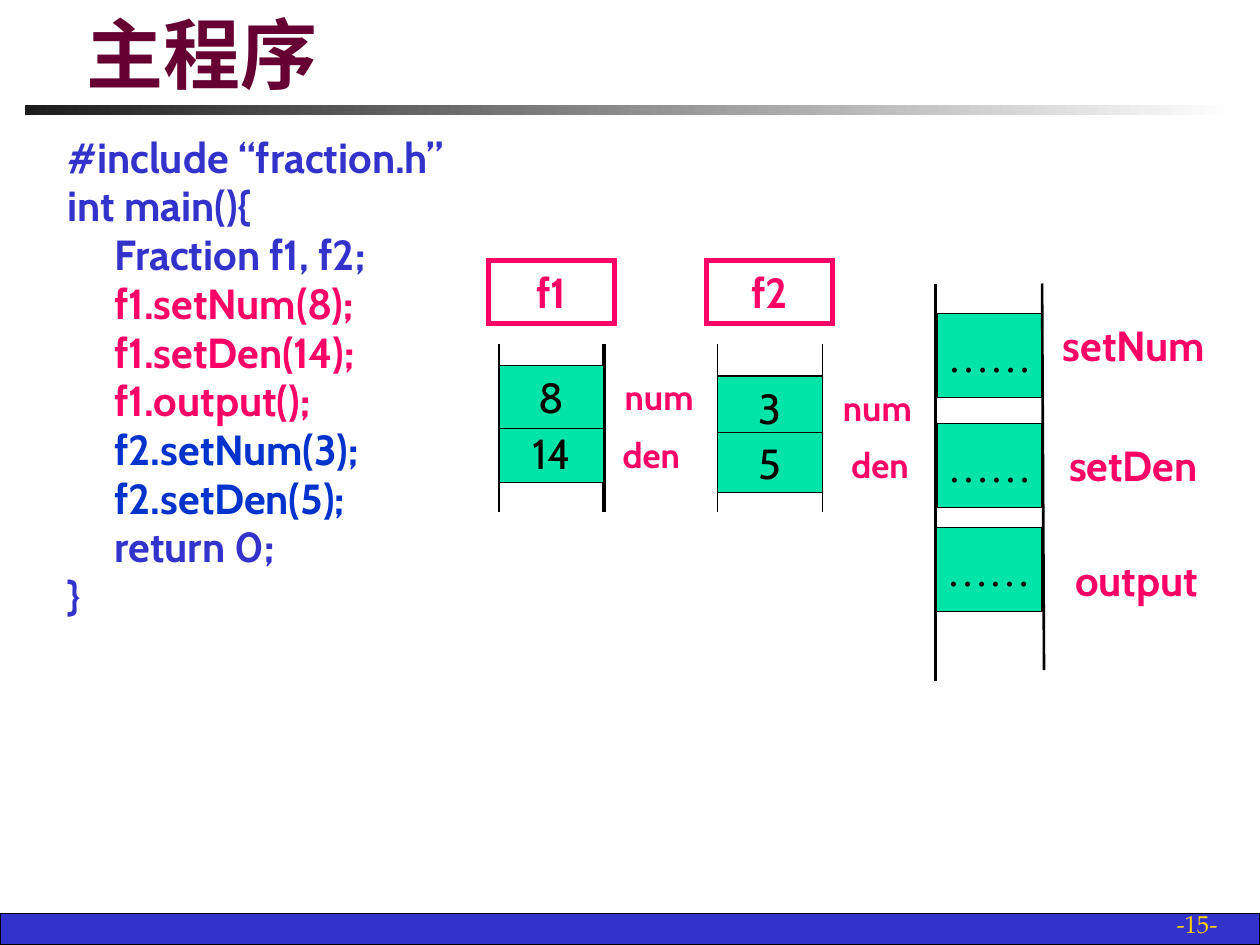
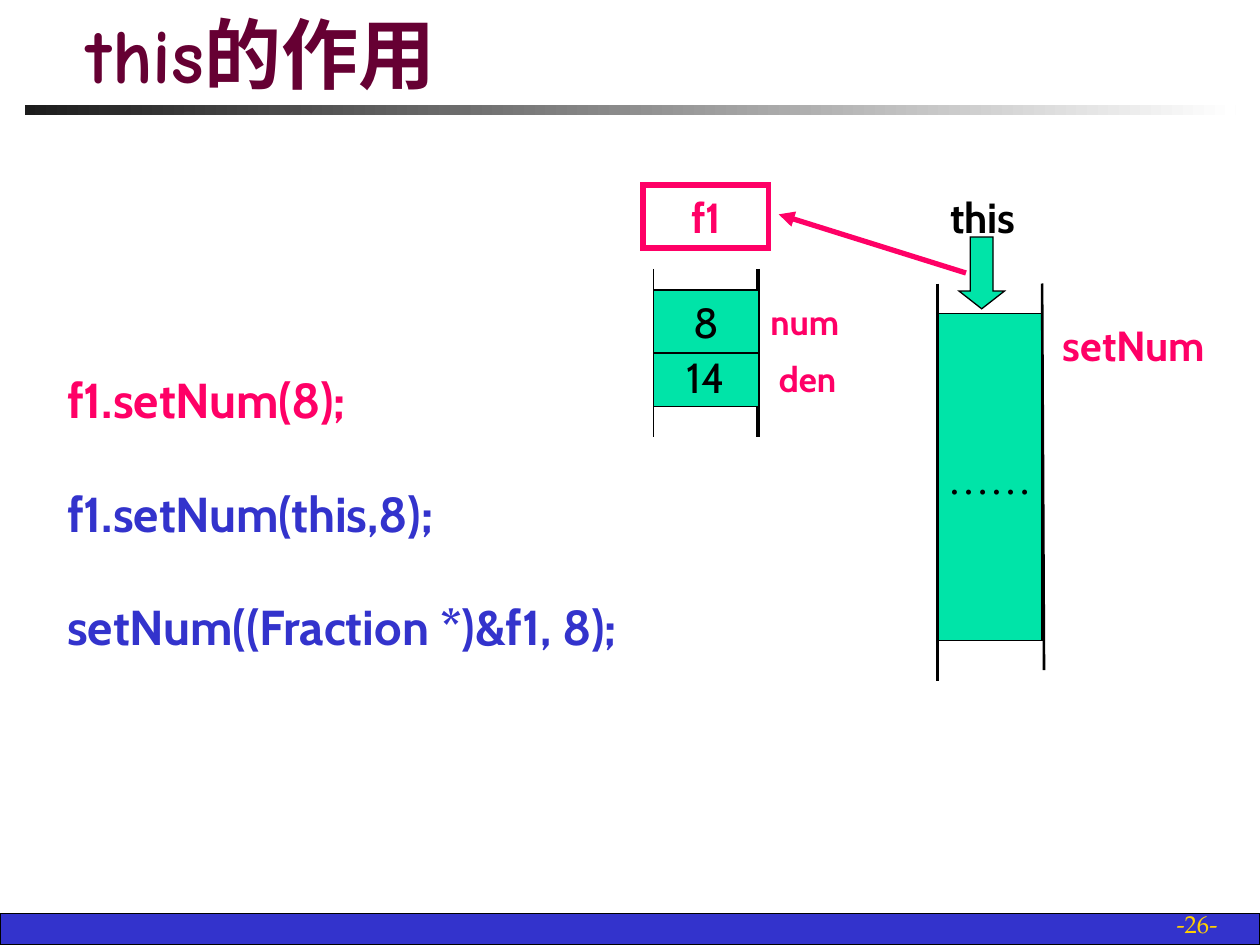
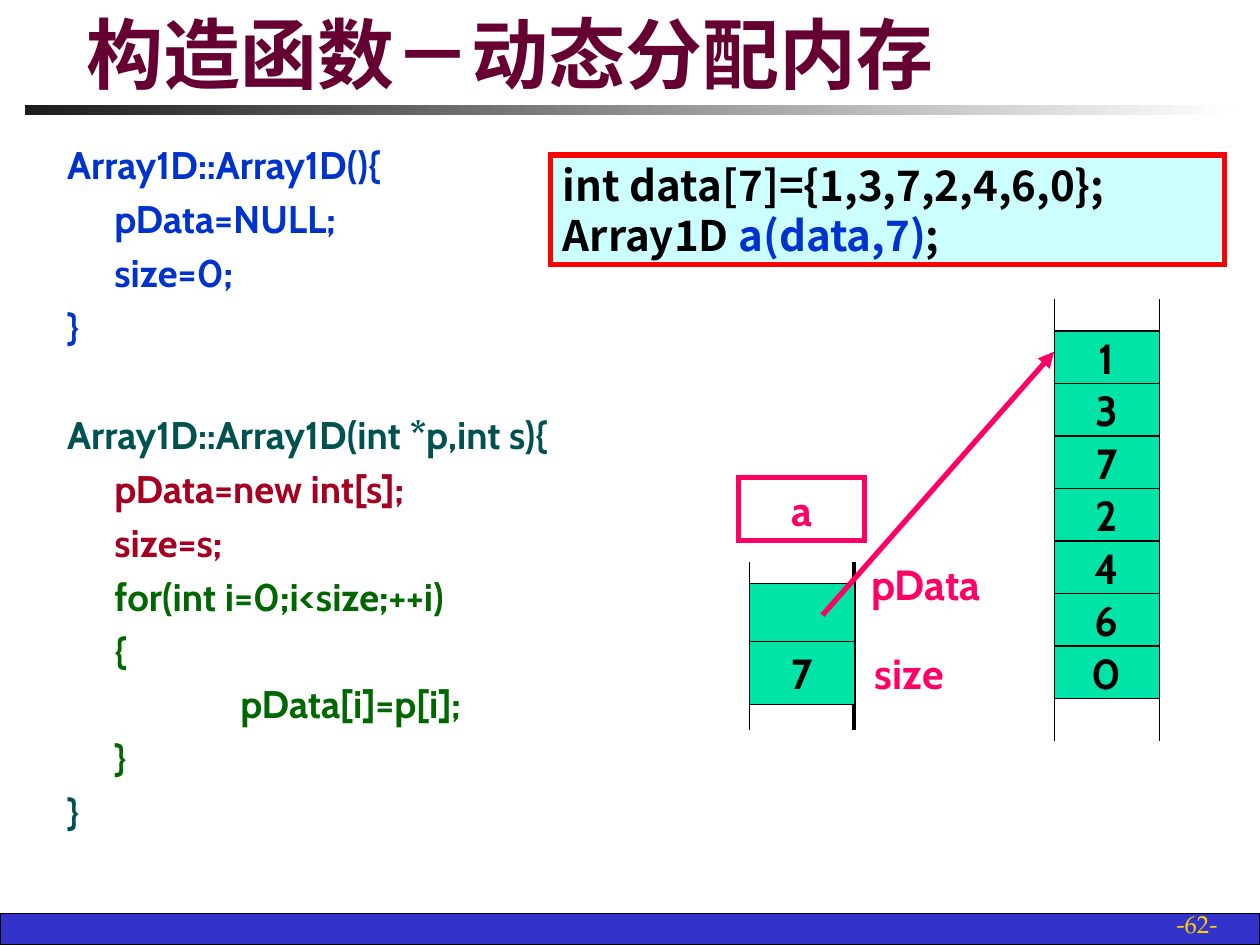
from lxml import etree
from pptx import Presentation
from pptx.dml.color import RGBColor
from pptx.enum import shapes, text
from pptx.oxml.ns import qn
from pptx.util import Pt

BLUE, NAVY, PINK, GREEN = "3333CC", "0033CC", "FF0066", "00E4A8"
BLACK, TEAL, LEAF, WINE = "000000", "005250", "006600", "A50021"
SANS, SERIF, NOTO = "Cabin", "Times New Roman", "Noto Sans CJK SC"
MID, LEFT, RIGHT = text.PP_ALIGN.CENTER, text.PP_ALIGN.LEFT, text.PP_ALIGN.RIGHT
RECT, DOWN = shapes.MSO_SHAPE.RECTANGLE, shapes.MSO_SHAPE.DOWN_ARROW
DOTS = "……"

MAIN = [
    ("#include “fraction.h”", BLUE),
    ("int main(){", BLUE),
    ("\tFraction f1, f2;", BLUE),
    ("\tf1.setNum(8);", PINK),
    ("\tf1.setDen(14);", PINK),
    ("\tf1.output();", PINK),
    ("\tf2.setNum(3);", NAVY),
    ("\tf2.setDen(5);", NAVY),
    ("\treturn 0;", BLUE),
    ("}", BLUE),
]
CALLS = [
    ("f1.setNum(8);", PINK),
    ("f1.setNum(this,8);", BLUE),
    ("setNum((Fraction *)&f1, 8);", BLUE),
]
EMPTY = [
    ("Array1D::Array1D(){", NAVY),
    ("\tpData=NULL;", NAVY),
    ("\tsize=0;", NAVY),
    ("}", NAVY),
]
FULL = [
    ("Array1D::Array1D(int *p,int s){", TEAL),
    ("\tpData=new int[s];", WINE),
    ("\tsize=s;", WINE),
    ("\tfor(int i=0;i<size;++i)", LEAF),
    ("\t{", LEAF),
    ("\t\tpData[i]=p[i];", LEAF),
    ("\t}", LEAF),
    ("}", TEAL),
]
USE = [
    [("int data[7]={1,3,7,2,4,6,0};", BLACK)],
    [("Array1D ", BLACK), ("a(data,7)", NAVY), (";", BLACK)],
]
DATA = [1, 3, 7, 2, 4, 6, 0]

F1 = [("14", 93, 34, "den", 69, 93), ("8", 60, 36, "num", 73.5, 60)]
F2 = [("3", 66, 36, "num", 73.5, 66), ("5", 98.5, 34, "den", 75, 98.5)]
F1_THIS = [("14", 92.5, 34, "den", 70, 92.5), ("8", 60, 36, "num", 68.5, 60)]
ARRAY = [("", 60.5, 36, "pData", 83, 42.5), ("7", 93.5, 36, "size", 73.5, 93.5)]

METHODS = [
    ("setNum", 535.5, 179.2, 618.5, 179.2),
    ("setDen", 535.5, 242, 623.5, 247.5),
    ("output", 534.5, 301.5, 615, 313),
]
NAME_W = {"setNum": 59, "setDen": 48, "output": 69}


def rgb(hue):
    return RGBColor.from_string(hue)


def place(shape, at):
    shape.left, shape.top, shape.width, shape.height = map(Pt, at)


def style(par, size, face=SANS, hue=BLACK, bold=False, align=MID):
    par.alignment = align
    font = par.font
    font.size, font.name, font.bold = Pt(size), face, bold
    font.color.rgb = rgb(hue)


def box(slide, at, words="", fill=None, line=BLACK, thick=0.75, kind=RECT, **look):
    shape = slide.shapes.add_shape(kind, *map(Pt, at))
    shape.shadow.inherit = False
    if fill:
        shape.fill.solid()
        shape.fill.fore_color.rgb = rgb(fill)
    else:
        shape.fill.background()
    if line:
        shape.line.color.rgb = rgb(line)
        shape.line.width = Pt(thick)
        edge = shape.element.spPr.find(qn("a:ln"))
        etree.SubElement(edge, qn("a:miter"), lim="800000")
    else:
        shape.line.fill.background()
    if words:
        fill_in(shape.text_frame, words, **look)
    return shape


def fill_in(frame, words, size=24, **look):
    frame.word_wrap = False
    frame.vertical_anchor = text.MSO_ANCHOR.MIDDLE
    frame.text = words
    style(frame.paragraphs[0], size, **look)


def label(slide, at, words, **look):
    return box(slide, at, words, line=None, **look).text_frame


def line(slide, start, end, thick=0.75, hue=BLACK, arrow=False):
    link = slide.shapes.add_connector(
        shapes.MSO_CONNECTOR.STRAIGHT, *map(Pt, start + end))
    link.line.width = Pt(thick)
    link.line.color.rgb = rgb(hue)
    props = link.element.spPr
    if arrow:
        etree.SubElement(props.find(qn("a:ln")), qn("a:tailEnd"), type="triangle")
    etree.SubElement(props, qn("a:effectLst"))


def code(frame, rows, size, gap, tight=1.0, breaks=None):
    frame.word_wrap = True
    frame.auto_size = text.MSO_AUTO_SIZE.NONE
    for n, (words, hue) in enumerate(rows):
        par = frame.paragraphs[0] if n == 0 else frame.add_paragraph()
        par.text = words
        props = par._p.get_or_add_pPr()
        for key, val in (("marL", 27), ("indent", -27), ("defTabSz", 72)):
            props.set(key, str(Pt(val)))
        etree.SubElement(props, qn("a:buNone"))
        par.line_spacing = tight
        par.space_before = Pt((breaks or {}).get(n, gap) if n else 0)
        style(par, size, hue=hue, bold=True, align=LEFT)


def start(deck, title, page, top=77):
    slide = deck.slides.add_slide(deck.slide_layouts[1])
    head, body = slide.placeholders
    place(head, (42.5, 9, 628, 51))
    frame = head.text_frame
    frame.auto_size = text.MSO_AUTO_SIZE.NONE
    frame.vertical_anchor = text.MSO_ANCHOR.BOTTOM
    frame.text = title
    style(frame.paragraphs[0], 44, "Comic Neue", "660033", True, LEFT)
    place(body, (31.2, top, 658, 485 - top))
    foot = label(slide, (552.8, 516, 150, 24), f"-{page}-", size=14,
                 face="TeX Gyre Pagella", hue="FFCF01", align=RIGHT)
    foot.word_wrap = True
    foot.vertical_anchor = text.MSO_ANCHOR.BOTTOM
    return slide, body.text_frame


def bands(deck, slide):
    band = box(slide, (0, 522, 720, 18), fill=BLUE)
    rule = box(slide, (14.2, 60.2, 692, 5.8), line=None)
    rule.fill.gradient()
    rule.fill.gradient_angle = 0
    for stop, hue in zip(rule.fill.gradient_stops, ("1C1C1C", "FFFFFF")):
        stop.color.rgb = rgb(hue)
    for shape in (band, rule):
        deck.slide_master.shapes.element.append(shape.element)


def record(slide, x, y, name, fields, size=20, bold=False, edge=2.25, rungs=()):
    col = x + 6
    box(slide, (x, y, 72, 36), name, line=PINK, thick=3, hue=PINK, bold=True)
    for side, thick in ((col, 0.75), (col + 60, edge)):
        line(slide, (side, y + 48), (side, y + 144), thick)
    for rung in rungs:
        line(slide, (col, y + rung), (col + 60, y + rung))
    for value, top, high, field, dx, dy in fields:
        box(slide, (col, y + top, 60, high), value, GREEN, bold=bold)
        label(slide, (x + dx, y + dy, 48, 36), field,
              size=size, hue=PINK, bold=True)


def rails(slide, x):
    line(slide, (x, 162), (x, 389), 1.5)
    line(slide, (595.5, 162), (596.6, 383), 1.5)


def method(slide, name, x, y, tx, ty, high=48):
    box(slide, (x, y, 595.5 - x, high), DOTS, GREEN, face=SERIF)
    label(slide, (tx, ty, NAME_W[name], 36), name, hue=PINK, bold=True)


def program(deck):
    slide, body = start(deck, "主程序", 15)
    bands(deck, slide)
    code(body, MAIN, 24, 4.8, 0.8)
    record(slide, 279.2, 148.8, "f1", F1, rungs=(60, 96))
    record(slide, 403.9, 148.8, "f2", F2, edge=0.75)
    for item in METHODS:
        method(slide, *item)
    rails(slide, 534.5)


def pointer(deck):
    slide, body = start(deck, "this的作用", 26, 214)
    code(body, CALLS, 28, 38, 0.8)
    method(slide, *METHODS[0], high=187)
    rails(slide, 535.7)
    record(slide, 367.4, 105.7, "f1", F1_THIS, rungs=(60, 96))
    label(slide, (535.7, 105.7, 52, 36), "this", bold=True)
    mark = box(slide, (548, 135.5, 26, 41), fill=GREEN, kind=DOWN)
    mark.adjustments[1] = 0.39
    line(slide, (552, 156), (445, 122.5), 3, PINK, True)


def array(deck):
    slide, body = start(deck, "构造函数－动态分配内存", 62)
    code(body, EMPTY + FULL, 22, 4.4, breaks={len(EMPTY): 35.6})
    for x in (602.4, 662.4):
        line(slide, (x, 171), (x, 423.4))
    line(slide, (602.4, 237), (662.4, 237))
    for n, value in enumerate(DATA):
        box(slide, (602.4, 189.2 + 30 * n, 60, 30), str(value), GREEN, bold=True)
    record(slide, 422.2, 273, "a", ARRAY, size=24, bold=True, rungs=(60.5, 96.5))
    frame = box(slide, (314.6, 88.5, 385, 62.5), fill="CCFFFF",
                line="FF0000", thick=3).text_frame
    frame.word_wrap = True
    frame.vertical_anchor = text.MSO_ANCHOR.MIDDLE
    for n, row in enumerate(USE):
        par = frame.add_paragraph() if n else frame.paragraphs[0]
        for words, hue in row:
            run = par.add_run()
            run.text = words
            run.font.color.rgb = rgb(hue)
        style(par, 24, NOTO, bold=True, align=LEFT)
    line(slide, (470, 351.5), (602.4, 201), 3, PINK, True)


def main():
    deck = Presentation()
    deck.slide_width, deck.slide_height = Pt(720), Pt(540)
    for build in (program, pointer, array):
        build(deck)
    deck.save("out.pptx")


if __name__ == "__main__":
    main()
